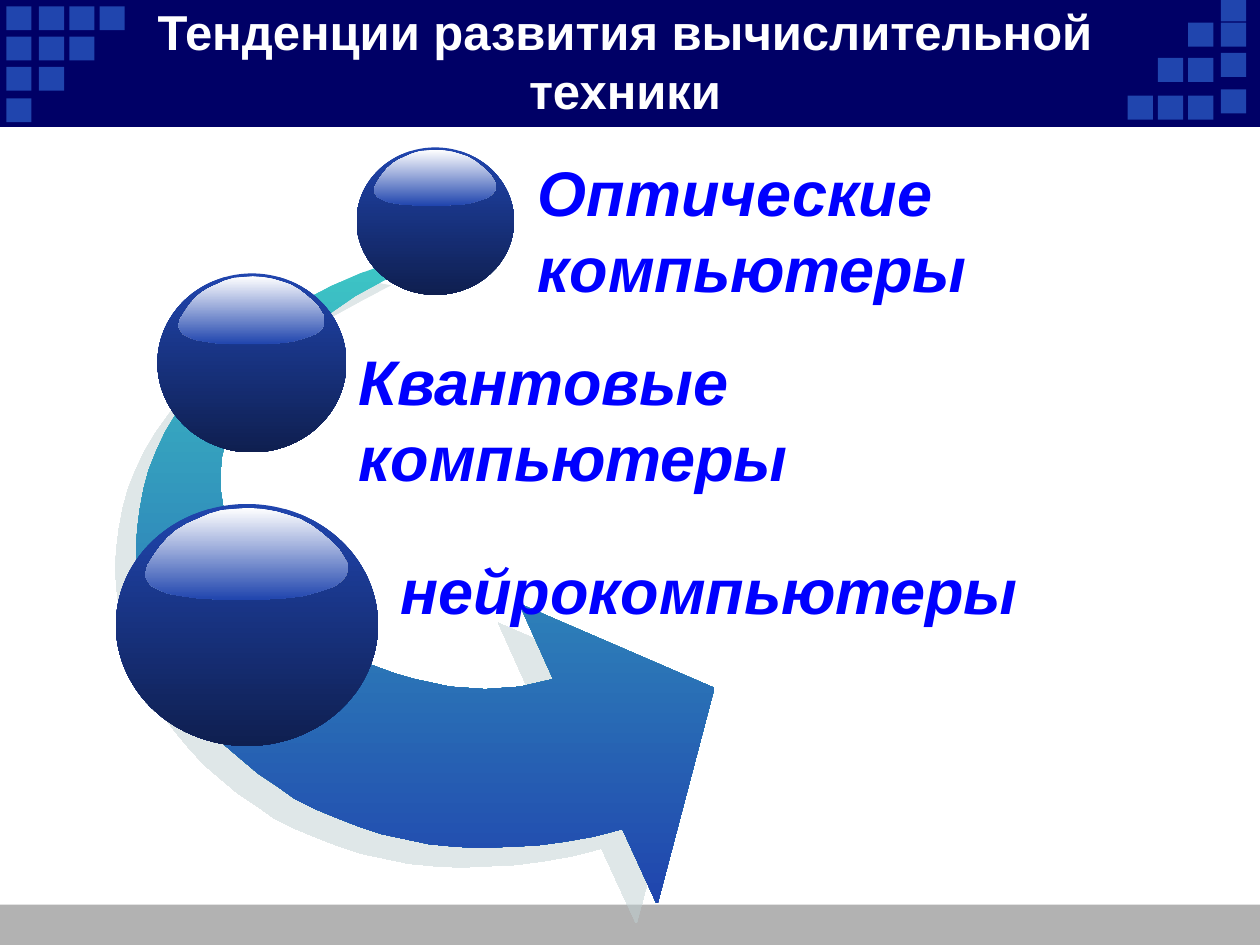
from dataclasses import dataclass

from lxml import etree
from pptx import Presentation
from pptx.dml.color import RGBColor
from pptx.enum.shapes import MSO_SHAPE
from pptx.enum.text import MSO_ANCHOR, PP_ALIGN
from pptx.oxml.ns import qn
from pptx.util import Inches, Pt

RECT, OVAL = MSO_SHAPE.RECTANGLE, MSO_SHAPE.OVAL
MIDDLE, TOP = MSO_ANCHOR.MIDDLE, MSO_ANCHOR.TOP
CENTER, LEFT = PP_ALIGN.CENTER, PP_ALIGN.LEFT

NAVY, BLUE, DARK, TEAL = "000066", "2045AE", "0F1F50", "3DC5C5"
WHITE, GRAY, LABEL, SHADOW = "FFFFFF", "B2B2B2", "0000FF", "C1D1D3"
SQUARE_W, SQUARE_H = 0.2, 0.19
GLOSS_BASE = (2.08, 1.92)

ARROW = [
    (3.11, 2.08), (2.86, 2.17), (2.63, 2.27), (2.42, 2.38), (2.23, 2.49), (2.05, 2.61),
    (1.89, 2.73), (1.74, 2.86), (1.61, 3), (1.5, 3.14), (1.4, 3.28), (1.31, 3.43),
    (1.24, 3.58), (1.18, 3.73), (1.14, 3.88), (1.11, 4.04), (1.09, 4.2), (1.08, 4.35),
    (1.09, 4.51), (1.11, 4.66), (1.14, 4.81), (1.19, 4.96), (1.24, 5.11), (1.31, 5.26),
    (1.38, 5.4), (1.47, 5.54), (1.57, 5.67), (1.67, 5.79), (1.79, 5.92), (1.92, 6.03),
    (2.05, 6.14), (2.2, 6.24), (2.34, 6.34), (2.5, 6.42), (2.67, 6.49), (2.85, 6.56),
    (3.03, 6.62), (3.22, 6.66), (3.41, 6.7), (3.62, 6.72), (3.82, 6.73), (4.04, 6.72),
    (4.26, 6.71), (4.48, 6.68), (4.71, 6.64), (4.94, 6.58), (5.21, 7.17), (5.22, 7.17),
    (5.67, 5.46), (4.12, 4.79), (4.39, 5.39), (4.26, 5.42), (4.13, 5.45), (3.99, 5.46),
    (3.85, 5.47), (3.71, 5.46), (3.57, 5.45), (3.43, 5.42), (3.29, 5.39), (3.15, 5.35),
    (3.01, 5.3), (2.88, 5.25), (2.75, 5.18), (2.63, 5.11), (2.51, 5.04), (2.4, 4.96),
    (2.29, 4.87), (2.2, 4.78), (2.1, 4.68), (2.02, 4.58), (1.95, 4.47), (1.89, 4.36),
    (1.83, 4.24), (1.8, 4.13), (1.77, 4.01), (1.75, 3.88), (1.75, 3.76), (1.76, 3.63),
    (1.79, 3.51), (1.83, 3.38), (1.89, 3.25), (1.97, 3.12), (2.06, 2.99), (2.17, 2.86),
    (2.31, 2.73), (2.46, 2.6), (2.63, 2.48), (2.82, 2.35), (3.04, 2.23), (3.27, 2.11),
]
GLOSS = [
    (1.82, 0.44), (1.84, 0.48), (1.84, 0.52), (1.83, 0.56), (1.81, 0.59), (1.78, 0.62),
    (1.74, 0.65), (1.69, 0.67), (1.63, 0.69), (1.56, 0.71), (1.49, 0.73), (1.41, 0.74),
    (1.32, 0.75), (1.24, 0.75), (1.2, 0.76), (0.81, 0.76), (0.73, 0.75), (0.66, 0.75),
    (0.59, 0.74), (0.52, 0.73), (0.46, 0.72), (0.41, 0.71), (0.36, 0.69), (0.32, 0.67),
    (0.28, 0.65), (0.26, 0.62), (0.24, 0.59), (0.23, 0.56), (0.24, 0.53), (0.25, 0.49),
    (0.3, 0.41), (0.35, 0.34), (0.41, 0.27), (0.48, 0.21), (0.56, 0.16), (0.65, 0.12),
    (0.74, 0.08), (0.84, 0.05), (0.94, 0.04), (1.05, 0.03), (1.16, 0.04), (1.27, 0.06),
    (1.37, 0.09), (1.46, 0.12), (1.55, 0.17), (1.63, 0.23), (1.7, 0.29), (1.77, 0.36),
]


@dataclass
class Box:
    x: float
    y: float
    w: float
    h: float

    def emu(self):
        return [Inches(v) for v in (self.x, self.y, self.w, self.h)]


@dataclass
class Text:
    box: Box
    text: str
    size: int
    color: str
    italic: bool = True
    align: PP_ALIGN = LEFT
    anchor: MSO_ANCHOR = TOP


@dataclass
class SquareColumn:
    x: float
    tops: list


SPHERES = [Box(2.83, 1.17, 1.25, 1.17), Box(1.25, 2.17, 1.5, 1.42), Box(0.92, 4, 2.08, 1.92)]
ROWS = [0.05, 0.29, 0.53, 0.78]
COLUMNS = [SquareColumn(x, ROWS[:4 - i]) for i, x in enumerate((0.05, 0.31, 0.55, 0.79))] + [
    SquareColumn(8.95, [0.76]),
    SquareColumn(9.19, [0.46, 0.76]),
    SquareColumn(9.43, [0.18, 0.46, 0.76]),
    SquareColumn(9.69, [-0.02, 0.18, 0.42, 0.71]),
]
TEXTS = [
    Text(Box(0.92, 0.17, 8.08, 0.62), "Тенденции развития вычислительной техники",
         28, WHITE, False, CENTER, MIDDLE),
    Text(Box(4.17, 1.17, 4.67, 1.31), "Оптические компьютеры", 36, LABEL),
    Text(Box(2.75, 2.67, 6, 1.31), "Квантовые компьютеры", 36, LABEL),
    Text(Box(3.08, 4.33, 6, 0.71), "нейрокомпьютеры", 36, LABEL),
]


def rgb(value: str) -> RGBColor:
    return RGBColor.from_string(value)


def paint(sp, *colors: str):
    sp.shadow.inherit = False
    sp.line.fill.background()
    if len(colors) == 1:
        sp.fill.solid()
        sp.fill.fore_color.rgb = rgb(colors[0])
        return
    sp.fill.gradient()
    sp.fill.gradient_angle = 270
    for stop, color, position in zip(sp.fill.gradient_stops, colors, (0, 1)):
        stop.color.rgb = rgb(color)
        stop.position = position


def add_preset(s, kind: MSO_SHAPE, box: Box, *colors: str):
    sp = s.shapes.add_shape(kind, *box.emu())
    paint(sp, *colors)
    return sp


def add_outline(s, points: list, *colors: str):
    start, *rest = [(Inches(x), Inches(y)) for x, y in points]
    builder = s.shapes.build_freeform(*start)
    builder.add_line_segments(rest, close=True)
    sp = builder.convert_to_shape()
    paint(sp, *colors)
    return sp


def add_shadow(sp, color: str, distance: float, angle: int, opacity: int):
    effects = sp._element.spPr.find(qn("a:effectLst"))
    shadow = etree.SubElement(effects, qn("a:outerShdw"), blurRad="0", dist=str(Pt(distance)),
                              dir=str(angle * 60000), algn="ctr", rotWithShape="0")
    clr = etree.SubElement(shadow, qn("a:srgbClr"), val=color)
    etree.SubElement(clr, qn("a:alpha"), val=str(opacity * 1000))


def add_sphere(s, box: Box):
    add_preset(s, OVAL, box, BLUE, DARK)
    kx, ky = box.w / GLOSS_BASE[0], box.h / GLOSS_BASE[1]
    add_outline(s, [(box.x + x * kx, box.y + y * ky) for x, y in GLOSS], WHITE, BLUE)


def add_text(s, item: Text):
    tf = s.shapes.add_textbox(*item.box.emu()).text_frame
    tf.word_wrap = True
    tf.vertical_anchor = item.anchor
    p = tf.paragraphs[0]
    p.alignment = item.align
    r = p.add_run()
    r.text = item.text
    fmt = {"name": "Arial", "size": Pt(item.size), "bold": True, "italic": item.italic}
    for name, value in fmt.items():
        setattr(r.font, name, value)
    r.font.color.rgb = rgb(item.color)


def main():
    prs = Presentation()
    prs.slide_width, prs.slide_height = Inches(10), Inches(7.5)
    s = prs.slides.add_slide(prs.slide_layouts[6])
    add_preset(s, RECT, Box(0, 7.18, 10, 0.32), GRAY)
    header = add_preset(s, RECT, Box(0, 0, 10, 1), NAVY)
    header.line.color.rgb = rgb(NAVY)
    header.line.width = Pt(0.75)
    for column in COLUMNS:
        for top in column.tops:
            add_preset(s, RECT, Box(column.x, top, SQUARE_W, SQUARE_H), BLUE)
    arrow = add_outline(s, ARROW, TEAL, BLUE)
    add_shadow(arrow, SHADOW, 16.3, 137, 50)
    for box in SPHERES:
        add_sphere(s, box)
    for item in TEXTS:
        add_text(s, item)
    prs.save("out.pptx")


if __name__ == "__main__":
    main()
